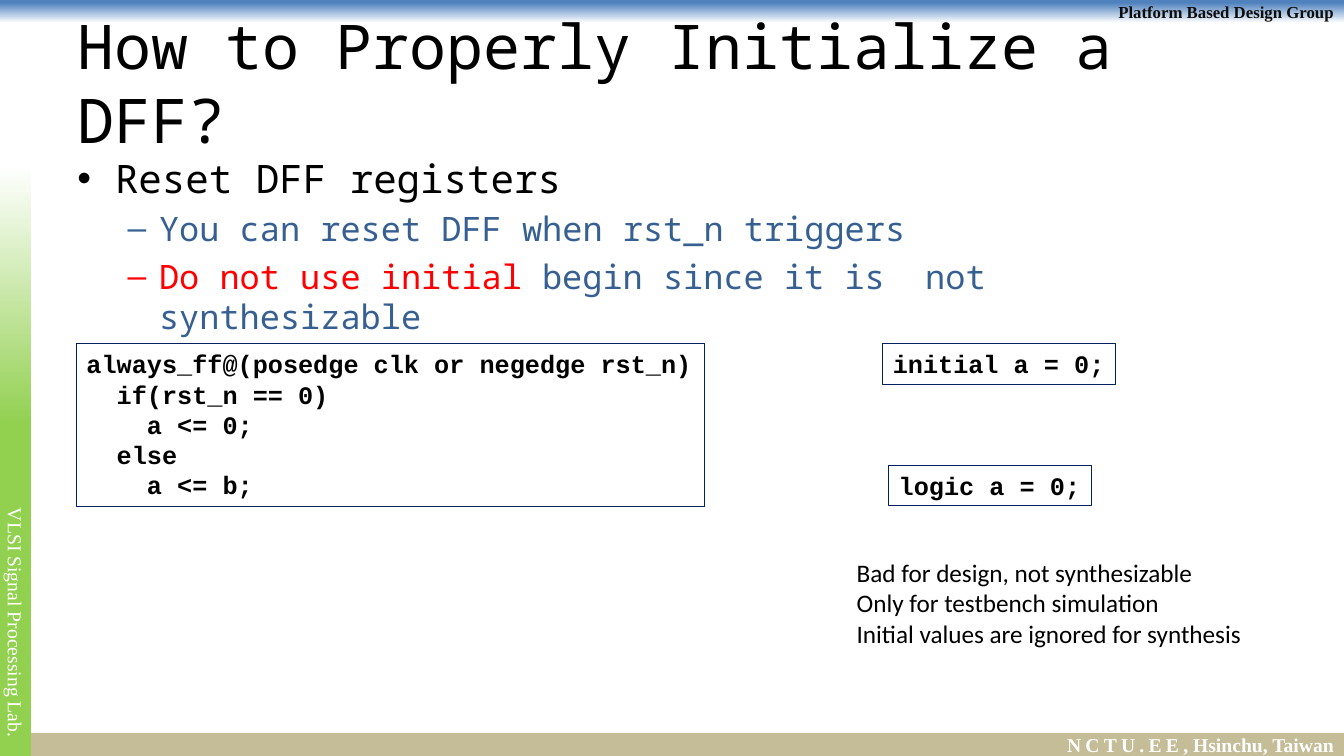
import lxml.etree
import pptx
import pptx.dml.color
import pptx.enum.shapes
import pptx.enum.text
import pptx.oxml.ns
import pptx.util

Cm = pptx.util.Cm
Pt = pptx.util.Pt
ANCHOR = pptx.enum.text.MSO_ANCHOR
ALIGN = pptx.enum.text.PP_ALIGN

WIDTH, HEIGHT = 33.87, 19.05
BAR = 0.58
SIDE_TOP = 4.17
MARGIN, CONTENT_WIDTH = 1.7, 30.48
BLACK, WHITE, BLUE, RED, NAVY = "000000", "FFFFFF", "376092", "FF0000", "002060"
SERIF, MONO, CODE, SANS = "Times New Roman", "Noto Sans Mono", "Courier New", "Calibri"

TITLE = "How to Properly Initialize a DFF?"
BULLETS = [
    (0, [("Reset DFF registers", BLACK)]),
    (1, [("You can reset DFF when rst_n triggers", BLUE)]),
    (1, [("Do not use initial ", RED),
         ("begin since it is  not  synthesizable", BLUE)]),
]
LEVELS = [
    {"size": 28, "mark": "•", "left": 0.95, "hang": 0.95},
    {"size": 24, "mark": "–", "left": 2.06, "hang": 0.79},
]
CODE_BOXES = [
    ((1.93, 8.66, 15.82, 4.11), [
        "always_ff@(posedge clk or negedge rst_n)",
        "  if(rst_n == 0)",
        "    a <= 0;",
        "  else",
        "    a <= b;",
    ]),
    ((22.25, 8.66, 5.87, 1.02), ["initial a = 0;"]),
    ((22.4, 11.73, 5.11, 1.02), ["logic a = 0;"]),
]
NOTES = [
    "Bad for design, not synthesizable",
    "Only for testbench simulation",
    "Initial values are ignored for synthesis",
]


def rgb(value):
    return pptx.dml.color.RGBColor.from_string(value)


def add_text(paragraph, text, *, size, font, color=BLACK, bold=False, spacing=0):
    run = paragraph.add_run()
    run.text = text
    run.font.size = Pt(size)
    run.font.name = font
    run.font.bold = bold
    run.font.color.rgb = rgb(color)
    if spacing:
        run.font._element.set("spc", str(spacing * 100))


def add_lines(frame, lines, **style):
    for index, line in enumerate(lines):
        paragraph = frame.paragraphs[0] if index == 0 else frame.add_paragraph()
        paragraph.alignment = ALIGN.LEFT
        add_text(paragraph, line, **style)


def add_rectangle(slide, box):
    shape = slide.shapes.add_shape(
        pptx.enum.shapes.MSO_SHAPE.RECTANGLE, *map(Cm, box))
    shape.shadow.inherit = False
    shape.fill.background()
    shape.line.fill.background()
    return shape


def add_text_box(slide, box, anchor=ANCHOR.TOP):
    frame = slide.shapes.add_textbox(*map(Cm, box)).text_frame
    frame.word_wrap = True
    frame.vertical_anchor = anchor
    return frame


def fit_to_text(frame):
    frame.word_wrap = False
    frame.auto_size = pptx.enum.text.MSO_AUTO_SIZE.SHAPE_TO_FIT_TEXT
    frame.vertical_anchor = ANCHOR.TOP


def set_gradient(shape, color, start, angle):
    shape.fill.gradient()
    shape.fill.gradient_angle = angle
    stops = zip(shape.fill.gradient_stops, (start, 1), (color, WHITE))
    for stop, position, stop_color in stops:
        stop.position = position
        stop.color.rgb = rgb(stop_color)


def set_bullet(paragraph, mark, left, hang):
    properties = paragraph._p.get_or_add_pPr()
    properties.set("marL", str(Cm(left)))
    properties.set("indent", str(-Cm(hang)))
    qn = pptx.oxml.ns.qn
    lxml.etree.SubElement(properties, qn("a:buFont")).set("typeface", "Arial")
    lxml.etree.SubElement(properties, qn("a:buChar")).set("char", mark)


def add_bars(slide):
    top = add_rectangle(slide, (0, 0, WIDTH, BAR))
    set_gradient(top, "4F81BD", 0.12, 270)
    bottom = add_rectangle(slide, (0, HEIGHT - BAR, WIDTH, BAR))
    bottom.fill.solid()
    bottom.fill.fore_color.rgb = rgb("C4BD97")
    side = add_rectangle(slide, (0, SIDE_TOP, 0.79, HEIGHT - SIDE_TOP))
    set_gradient(side, "92D050", 0.56, 90)

    for shape in (top, bottom, side):
        shape.text_frame.vertical_anchor = ANCHOR.MIDDLE
        shape.text_frame.paragraphs[0].alignment = ALIGN.RIGHT

    add_text(top.text_frame.paragraphs[0], "Platform Based Design Group",
             size=12, font=SERIF, color="0D0D0D", bold=True)
    footer = {"size": 14, "font": SERIF, "color": WHITE}
    place = bottom.text_frame.paragraphs[0]
    add_text(place, "NCTU.EE", bold=True, spacing=3, **footer)
    add_text(place, ", Hsinchu, Taiwan", bold=True, **footer)
    frame = side.text_frame
    frame._txBody.bodyPr.set("vert", "vert")
    frame.margin_top = Cm(8.41)
    frame.paragraphs[0].alignment = ALIGN.CENTER
    add_text(frame.paragraphs[0], "VLSI Signal Processing Lab.", **footer)


def add_bullets(slide):
    frame = add_text_box(slide, (MARGIN, 3.76, CONTENT_WIDTH, 13.89))
    for index, (level, runs) in enumerate(BULLETS):
        paragraph = frame.paragraphs[0] if index == 0 else frame.add_paragraph()
        style = LEVELS[level]
        paragraph.level = level
        if index:
            paragraph.space_before = Pt(5)
        set_bullet(paragraph, style["mark"], style["left"], style["hang"])
        for text, color in runs:
            add_text(paragraph, text, size=style["size"], font=MONO, color=color)


def main():
    presentation = pptx.Presentation()
    presentation.slide_width = Cm(WIDTH)
    presentation.slide_height = Cm(HEIGHT)
    slide = presentation.slides.add_slide(presentation.slide_layouts[6])

    add_bars(slide)
    title = add_text_box(slide, (MARGIN, 0.76, CONTENT_WIDTH, 2.62), ANCHOR.MIDDLE)
    add_lines(title, [TITLE], size=44, font=MONO)
    add_bullets(slide)

    for box, lines in CODE_BOXES:
        shape = add_rectangle(slide, box)
        shape.line.color.rgb = rgb(NAVY)
        shape.line.width = Pt(0.75)
        fit_to_text(shape.text_frame)
        add_lines(shape.text_frame, lines, size=18, font=CODE, bold=True)

    notes = add_text_box(slide, (21.34, 13.92, 10.31, 2.57))
    fit_to_text(notes)
    add_lines(notes, NOTES, size=18, font=SANS)
    presentation.save("out.pptx")


if __name__ == "__main__":
    main()
